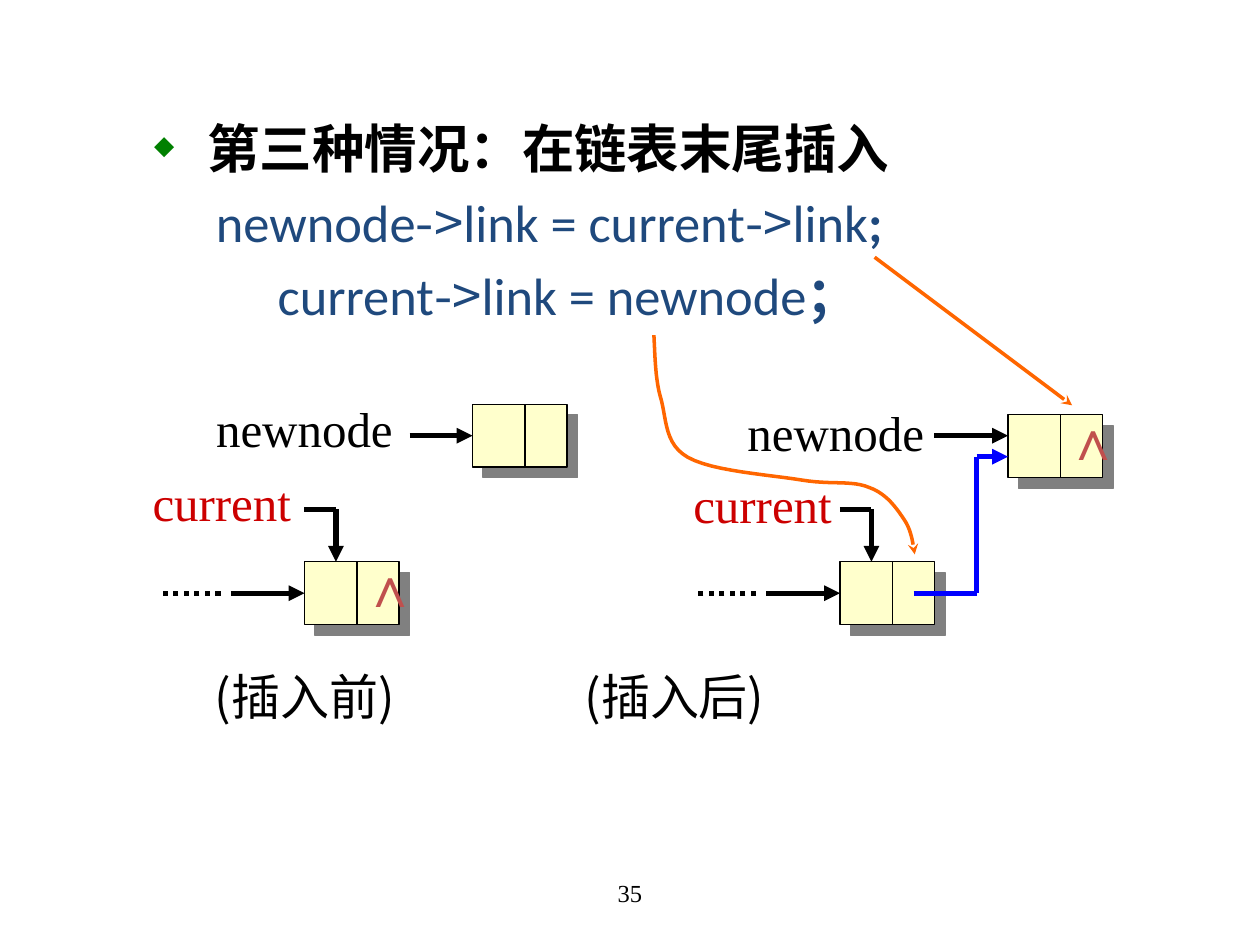
from itertools import pairwise
from lxml.etree import SubElement
from pptx import Presentation
from pptx.dml.color import RGBColor
from pptx.enum.dml import MSO_LINE
from pptx.enum.shapes import MSO_CONNECTOR, MSO_SHAPE
from pptx.enum.text import MSO_ANCHOR, PP_ALIGN
from pptx.oxml.ns import qn
from pptx.util import Inches, Pt

SANS, CJK, SERIF = "Calibri", "Noto Sans CJK SC", "Times New Roman"
BLACK, BLUE, ORANGE, NAVY = "000000", "0000FF", "FF6600", "1F497D"
NODE_W, NODE_H, NODE_SPLIT = 9, 6, 5


def grid(cells):
    """Length of a number of grid cells, twelve to the inch."""
    return Inches(cells / 12)


def color(value):
    return RGBColor.from_string(value)


def add_run(paragraph, text, size, font, rgb=BLACK, bold=False):
    run = paragraph.add_run()
    run.text = text
    run.font.size, run.font.name, run.font.bold = Pt(size), font, bold
    run.font.color.rgb = color(rgb)
    SubElement(run.font._element, qn("a:ea"), typeface=CJK)


def add_frame(slide, left, top, width, height):
    frame = slide.shapes.add_textbox(*map(grid, (left, top, width, height))).text_frame
    frame.word_wrap = True
    return frame


def add_label(slide, box, text, size, font, rgb=BLACK, align=PP_ALIGN.LEFT):
    frame = add_frame(slide, *box)
    frame.vertical_anchor = MSO_ANCHOR.MIDDLE
    frame.paragraphs[0].alignment = align
    add_run(frame.paragraphs[0], text, size, font, rgb)


def add_tip(shape, kind):
    SubElement(shape.line._get_or_add_ln(), qn("a:tailEnd"), type=kind)


def add_line(slide, start, end, rgb=BLACK, width=3, tip=None, dash=None):
    line = slide.shapes.add_connector(
        MSO_CONNECTOR.STRAIGHT, *map(grid, (*start, *end)))
    line.line.color.rgb, line.line.width = color(rgb), Pt(width)
    if dash:
        line.line.dash_style = dash
    if tip:
        add_tip(line, tip)
    SubElement(line._element.spPr, qn("a:effectLst"))


def add_route(slide, points, rgb=BLACK):
    """Straight legs through the points, with an arrowhead on the last."""
    legs = list(pairwise(points))
    for leg in legs:
        add_line(slide, *leg, rgb, tip="triangle" if leg == legs[-1] else None)


def add_node(slide, left, top, null=False):
    """List node: a data field and a link field."""
    node = slide.shapes.add_shape(
        MSO_SHAPE.RECTANGLE, *map(grid, (left, top, NODE_W, NODE_H)))
    node.fill.solid()
    node.fill.fore_color.rgb = color("FFFFCC")
    node.line.color.rgb, node.line.width = color(BLACK), Pt(0.75)
    node.shadow.inherit = False
    effects = node._element.spPr.find(qn("a:effectLst"))
    shadow = SubElement(effects, qn("a:outerShdw"), dist=str(Pt(8.5)),
                        dir="2700000", algn="ctr", rotWithShape="0")
    SubElement(shadow, qn("a:srgbClr"), val="808080")
    split = left + NODE_SPLIT
    add_line(slide, (split, top), (split, top + NODE_H), width=0.75)
    if null:
        add_label(slide, (left + 4.3, top - 1.6, 8, 7.6), "∧", 32, SERIF, "C0504D")


def add_code(slide, left, top, width, height):
    """Heading with a diamond bullet, then two statements."""
    frame = add_frame(slide, left, top, width, height)
    rows = [
        (0.92, [("第三种情况：在链表末尾插入", SANS, BLACK, True)]),
        (0.99, [("newnode", SANS), ("->", CJK), ("link = current", SANS),
                ("->", CJK), ("link", SANS), (";", SANS, NAVY, True)]),
        (1.48, [("current", SANS), ("->", CJK), ("link = newnode", SANS),
                ("；", SANS, NAVY, True)]),
    ]
    for index, (margin, runs) in enumerate(rows):
        paragraph = frame.add_paragraph() if index else frame.paragraphs[0]
        paragraph.line_spacing = Pt(42)
        properties = paragraph._p.get_or_add_pPr()
        properties.set("marL", str(Inches(margin)))
        if index == 0:
            properties.set("indent", str(Inches(-0.42)))
            bullet_color = SubElement(properties, qn("a:buClr"))
            SubElement(bullet_color, qn("a:srgbClr"), val="008000")
            SubElement(properties, qn("a:buSzPct"), val="50000")
            SubElement(properties, qn("a:buChar"), char="◆")
        for text, font, *style in runs:
            add_run(paragraph, text, 30, font, *(style or [NAVY]))


def add_list(slide, left, top, new_top, arrow_start, new_label, current_label, linked):
    """End of the list with the new node, before or after linking."""
    def at(x, y):
        return left + x, top + y

    # New node and its pointer
    add_node(slide, *at(30, new_top), null=linked)
    add_route(slide, [at(arrow_start, 4.5), at(30, 4.5)])
    add_label(slide, (*at(*new_label), 20, 6.8), "newnode", 28, SERIF)
    # Last node, reached from the rest of the list
    add_node(slide, *at(14, 16.5), null=not linked)
    add_line(slide, at(6, 19.5), at(0, 19.5), dash=MSO_LINE.ROUND_DOT)
    add_route(slide, [at(7, 19.5), at(14, 19.5)])
    # Current pointer
    add_route(slide, [at(14, 11.5), at(17, 11.5), at(17, 16.5)])
    add_label(slide, (*at(*current_label), 17.4, 6.8), "current", 28, SERIF,
              "CC0000", PP_ALIGN.RIGHT)
    if linked:
        add_route(slide, [at(21, 19.5), at(27, 19.5), at(27, 6.5), at(30, 6.5)], BLUE)


def add_curve(slide, start, segments, steps=12):
    """Arrow along cubic curves, each given by two controls and an end."""
    points, origin = [], start
    for first, second, end in segments:
        for step in range(1, steps + 1):
            t = step / steps
            u = 1 - t
            points.append(tuple(
                Inches(u**3 * a + 3 * u * u * t * b + 3 * u * t * t * c + t**3 * d)
                for a, b, c, d in zip(origin, first, second, end)))
        origin = end
    builder = slide.shapes.build_freeform(*map(Inches, start))
    builder.add_line_segments(points, close=False)
    curve = builder.convert_to_shape()
    curve.fill.background()
    curve.line.color.rgb, curve.line.width = color(ORANGE), Pt(2)
    curve.shadow.inherit = False
    add_tip(curve, "stealth")


def main():
    presentation = Presentation()
    presentation.slide_width, presentation.slide_height = grid(120), grid(90)
    slide = presentation.slides.add_slide(presentation.slide_layouts[6])

    add_code(slide, 7.5, 9.5, 105, 24)

    # Captions and page number
    for left, caption in ((19.3, "(插入前)"), (54.5, "(插入后)")):
        add_label(slide, (left, 62.9, 24, 6.8), caption, 28, CJK)
    add_label(slide, (41, 82, 38, 6), "35", 14, SERIF, align=PP_ALIGN.CENTER)

    # List before and after the insertion
    add_list(slide, 15, 37, 1.5, 24, (4.4, 0.4), (-3.5, 7.4), linked=False)
    add_list(slide, 66, 37, 2.5, 23, (4, 0.7), (-3, 7.6), linked=True)

    # Arrows from each statement to the link it sets
    add_line(slide, (83.3, 24.5), (102.1, 38.6), ORANGE, 2, "stealth")
    add_curve(slide, (5.19, 2.66), [
        ((5.2, 2.84), (5.2, 3.02), (5.25, 3.18)),
        ((5.29, 3.34), (5.28, 3.53), (5.46, 3.63)),
        ((5.65, 3.74), (6.12, 3.77), (6.36, 3.81)),
        ((6.6, 3.85), (6.76, 3.81), (6.9, 3.87)),
        ((7.04, 3.92), (7.12, 4.04), (7.18, 4.13)),
        ((7.24, 4.22), (7.25, 4.35), (7.26, 4.4)),
    ])
    presentation.save("out.pptx")


if __name__ == "__main__":
    main()
